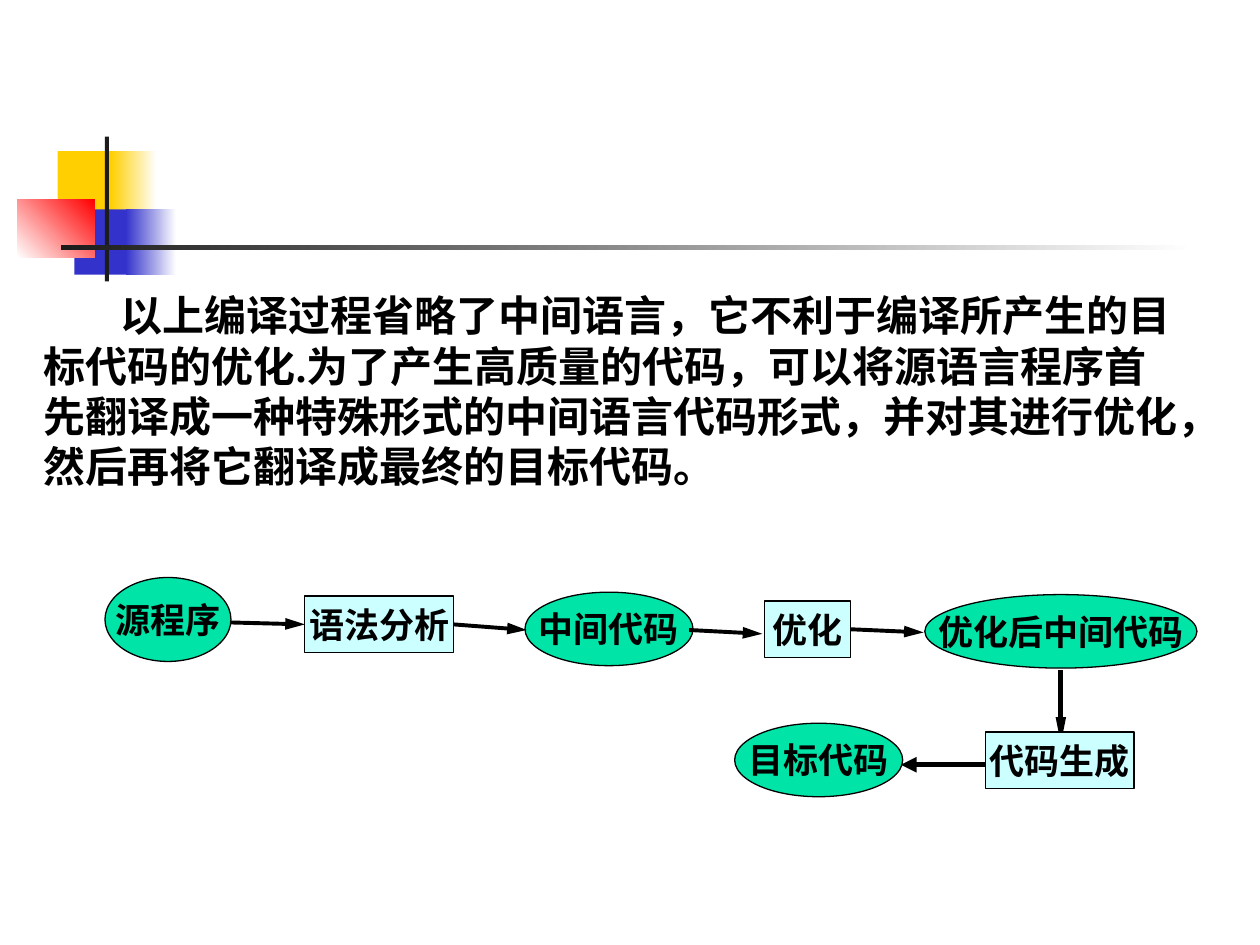
from lxml.etree import SubElement
from pptx import Presentation
from pptx.dml.color import RGBColor
from pptx.enum.shapes import MSO_CONNECTOR, MSO_SHAPE
from pptx.enum.text import MSO_ANCHOR, PP_ALIGN
from pptx.oxml.ns import qn
from pptx.util import Pt

LEFT, RIGHT = 1, 3
BLACK, WHITE = "000000", "FFFFFF"
YELLOW, BLUE, RED, DARK = "FFCF01", "3333CC", "FF0000", "1C1C1C"
CODE_GREEN, STEP_BLUE = "00E4A8", "CCFFFF"

INTRODUCTION = (
    "以上编译过程省略了中间语言，它不利于编译所产生的目标代码的优化.为了产生高质量的代码，"
    "可以将源语言程序首先翻译成一种特殊形式的中间语言代码形式，并对其进行优化，"
    "然后再将它翻译成最终的目标代码。"
)

# left, top, width, height, colours, angle
DECORATION = [
    (33, 86.4, 34.6, 37.4, [YELLOW], 0),
    (63.4, 86.4, 26, 37.4, [YELLOW, WHITE], 0),
    (42.5, 119.6, 33, 37.4, [BLUE], 0),
    (72, 119.6, 28.8, 37.4, [BLUE, WHITE], 0),
    (10, 113.8, 44, 33.4, [WHITE, RED], 45),
    (59.9, 78, 2.4, 82.8, [DARK], 0),
    (34.8, 140.2, 648, 2.4, [DARK, WHITE], 0),
]


def color(hex_string):
    return RGBColor.from_string(hex_string)


class SlideBuilder:
    font = {"name": "Times New Roman", "bold": True}

    def __init__(self, slide):
        self.slide = slide

    def add_text(self, text_frame, text, size):
        paragraph = text_frame.paragraphs[0]
        run = paragraph.add_run()
        run.text = text
        for name, value in {**self.font, "size": Pt(size)}.items():
            setattr(run.font, name, value)
        run.font.color.rgb = color(BLACK)
        return paragraph

    def shape(self, kind, left, top, width, height):
        shape = self.slide.shapes.add_shape(
            kind, Pt(left), Pt(top), Pt(width), Pt(height))
        shape.shadow.inherit = False
        return shape

    def block(self, left, top, width, height, colors, angle):
        """Add a borderless rectangle, shaded when it has two colours."""
        shape = self.shape(MSO_SHAPE.RECTANGLE, left, top, width, height)
        shape.line.fill.background()
        if len(colors) == 1:
            shape.fill.solid()
            shape.fill.fore_color.rgb = color(colors[0])
            return
        shape.fill.gradient()
        shape.fill.gradient_angle = angle
        for stop, hex_string in zip(shape.fill.gradient_stops, colors):
            stop.color.rgb = color(hex_string)

    def body(self, text, left, top, width, height, size, indent):
        box = self.slide.shapes.add_textbox(
            Pt(left), Pt(top), Pt(width), Pt(height))
        box.text_frame.word_wrap = True
        paragraph = self.add_text(box.text_frame, text, size)
        paragraph._p.get_or_add_pPr().set("indent", str(Pt(indent)))

    def node(self, kind, fill, text, left, top, width, height):
        shape = self.shape(kind, left, top, width, height)
        shape.fill.solid()
        shape.fill.fore_color.rgb = color(fill)
        shape.line.color.rgb = color(BLACK)
        shape.line.width = Pt(0.75)
        frame = shape.text_frame
        frame.word_wrap = False
        frame.vertical_anchor = MSO_ANCHOR.MIDDLE
        self.add_text(frame, text, 20).alignment = PP_ALIGN.CENTER
        return shape

    def code(self, *values):
        return self.node(MSO_SHAPE.OVAL, CODE_GREEN, *values)

    def step(self, *values):
        return self.node(MSO_SHAPE.RECTANGLE, STEP_BLUE, *values)

    def arrow(self, start, end, width=2.25, head=("med", "lg"),
              begin_at=None, end_at=None):
        """Draw from start to end; begin_at and end_at are (shape, side)."""
        connector = self.slide.shapes.add_connector(
            MSO_CONNECTOR.STRAIGHT, *map(Pt, start + end))
        if begin_at:
            connector.begin_connect(*begin_at)
        if end_at:
            connector.end_connect(*end_at)
        connector.line.color.rgb = color(BLACK)
        connector.line.width = Pt(width)
        SubElement(connector.line._get_or_add_ln(), qn("a:tailEnd"),
                   type="triangle", w=head[0], len=head[1])
        SubElement(connector._element.spPr, qn("a:effectLst"))


def main():
    presentation = Presentation()
    presentation.slide_width, presentation.slide_height = Pt(720), Pt(540)
    slide = presentation.slides.add_slide(presentation.slide_layouts[6])
    builder = SlideBuilder(slide)

    for block in DECORATION:
        builder.block(*block)
    builder.body(INTRODUCTION, 18, 162, 666, 122.4, size=24, indent=44)

    builder.code("源程序", 60, 330, 72, 48)
    parsing = builder.step("语法分析", 174.2, 340.6, 85, 32.4)
    builder.code("中间代码", 300, 338.4, 96, 42)
    optimizing = builder.step("优化", 437, 343.4, 49, 32.4)
    builder.code("优化后中间代码", 528.5, 339.8, 155.5, 42)
    builder.code("目标代码", 419.8, 413.3, 96, 42)

    builder.arrow((131.8, 355.7), (174.2, 357.8), end_at=(parsing, LEFT))
    builder.arrow((259.2, 357.8), (301, 360), begin_at=(parsing, RIGHT))
    builder.arrow((393.8, 360), (435.6, 362.2))
    builder.arrow((486, 358.6), (527.8, 361.4), begin_at=(optimizing, RIGHT))
    builder.arrow((606.2, 383), (606.2, 424.8), 3, ("sm", "lg"))
    # The box covers the tip of the arrow that comes down to it.
    builder.step("代码生成", 563, 418.3, 85, 32.4)
    builder.arrow((563, 437), (514.8, 437), 3, ("med", "med"))

    presentation.save("out.pptx")


if __name__ == "__main__":
    main()
